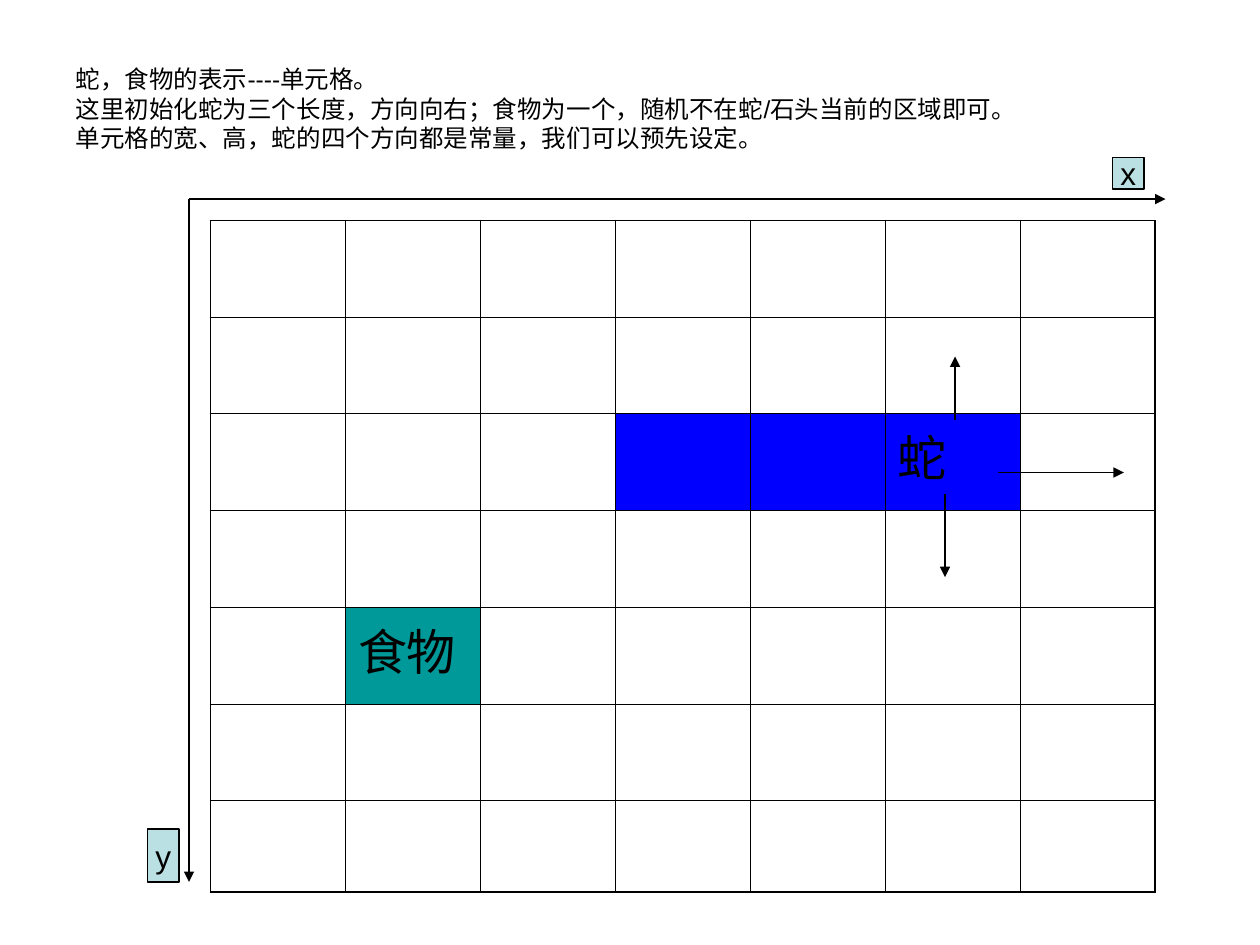
import pptx
import pptx.dml.color
import pptx.enum.shapes
import pptx.enum.text
import pptx.util
from lxml import etree
from pptx.oxml.ns import qn
from pptx.util import Inches, Pt

INTRO = [
    "蛇，食物的表示----单元格。",
    "这里初始化蛇为三个长度，方向向右；食物为一个，随机不在蛇/石头当前的区域即可。",
    "单元格的宽、高，蛇的四个方向都是常量，我们可以预先设定。",
]
BLACK, SNAKE, FOOD, LABEL = "000000", "0000FF", "009999", "BBE0E3"
COLUMNS = 7
ROW_HEIGHTS = [0.77, 0.76, 0.77, 0.77, 0.77, 0.76, 0.73]
GRID = (1.67, 1.75, 7.5, 5.33)
OUTER, INNER = 1.08, 0.45
# (row, column): (colour, text)
FILLED_CELLS = {
    (2, 3): (SNAKE, ""),
    (2, 4): (SNAKE, ""),
    (2, 5): (SNAKE, "蛇"),
    (4, 1): (FOOD, "食物"),
}
AXES = [(1.5, 1.58, 9.25, 1.58), (1.5, 1.58, 1.5, 7)]
AXIS_LABELS = [("x", (8.83, 1.25, 0.25, 0.25)), ("y", (1.17, 6.58, 0.25, 0.42))]
DIRECTIONS = [(7.58, 3.33, 7.58, 2.83), (7.5, 3.92, 7.5, 4.58), (7.92, 3.75, 8.92, 3.75)]


def inches(lengths):
    return [Inches(length) for length in lengths]


def paint(colour_format, colour):
    colour_format.rgb = pptx.dml.color.RGBColor.from_string(colour)


def fill(target, colour):
    target.fill.solid()
    paint(target.fill.fore_color, colour)


def format_text(text_frame, size, align):
    for paragraph in text_frame.paragraphs:
        paragraph.alignment = align
        for run in paragraph.runs:
            run.font.size = Pt(size)
            run.font.name = "Arial"
            paint(run.font.color, BLACK)


def add_border(cell, widths):
    """Draw the left, right, top and bottom borders, in that order."""
    properties = cell._tc.get_or_add_tcPr()
    for position, (side, width) in enumerate(zip("LRTB", widths)):
        border = etree.Element(qn(f"a:ln{side}"), w=str(int(Pt(width))))
        solid = etree.SubElement(border, qn("a:solidFill"))
        etree.SubElement(solid, qn("a:srgbClr"), val=BLACK)
        properties.insert(position, border)


def add_arrow(slide, ends):
    arrow = slide.shapes.add_connector(
        pptx.enum.shapes.MSO_CONNECTOR.STRAIGHT, *inches(ends))
    arrow.line.width = Pt(0.75)
    paint(arrow.line.color, BLACK)
    etree.SubElement(arrow.line._get_or_add_ln(), qn("a:tailEnd"), type="triangle")
    etree.SubElement(arrow._element.spPr, qn("a:effectLst"))


def add_intro(slide):
    intro = slide.shapes.title
    intro.left, intro.top, intro.width, intro.height = inches((0.5, 0.3, 8.25, 1.12))
    intro.text_frame.text = "\v".join(INTRO)
    intro.text_frame.vertical_anchor = pptx.enum.text.MSO_ANCHOR.MIDDLE
    intro.text_frame.auto_size = pptx.enum.text.MSO_AUTO_SIZE.NONE
    format_text(intro.text_frame, 14, pptx.enum.text.PP_ALIGN.LEFT)


def add_grid(slide):
    rows = len(ROW_HEIGHTS)
    grid = slide.shapes.add_table(rows, COLUMNS, *inches(GRID)).table
    grid.first_row = grid.horz_banding = False
    for column in grid.columns:
        column.width = Inches(GRID[2] / COLUMNS)
    for r, height in enumerate(ROW_HEIGHTS):
        grid.rows[r].height = Inches(height)
        for c in range(COLUMNS):
            cell = grid.cell(r, c)
            on_edge = (c == 0, c == COLUMNS - 1, r == 0, r == rows - 1)
            add_border(cell, [OUTER if edge else INNER for edge in on_edge])
            if (r, c) not in FILLED_CELLS:
                cell.fill.background()
                continue
            colour, text = FILLED_CELLS[r, c]
            fill(cell, colour)
            if text:
                cell.text_frame.text = text
                cell.text_frame.paragraphs[0].space_before = Pt(7)
                format_text(cell.text_frame, 28, pptx.enum.text.PP_ALIGN.LEFT)


def add_axis_label(slide, text, box):
    label = slide.shapes.add_shape(
        pptx.enum.shapes.MSO_SHAPE.RECTANGLE, *inches(box))
    label.shadow.inherit = False
    fill(label, LABEL)
    label.line.width = Pt(0.75)
    paint(label.line.color, BLACK)
    label.text_frame.text = text
    label.text_frame.word_wrap = False
    label.text_frame.vertical_anchor = pptx.enum.text.MSO_ANCHOR.MIDDLE
    format_text(label.text_frame, 18, pptx.enum.text.PP_ALIGN.CENTER)


def main():
    deck = pptx.Presentation()
    deck.slide_width, deck.slide_height = Inches(10), Inches(7.5)
    slide = deck.slides.add_slide(deck.slide_layouts.get_by_name("Title Only"))
    add_intro(slide)
    add_grid(slide)
    for axis in AXES:
        add_arrow(slide, axis)
    for text, box in AXIS_LABELS:
        add_axis_label(slide, text, box)
    for direction in DIRECTIONS:
        add_arrow(slide, direction)
    deck.save("out.pptx")


if __name__ == "__main__":
    main()
